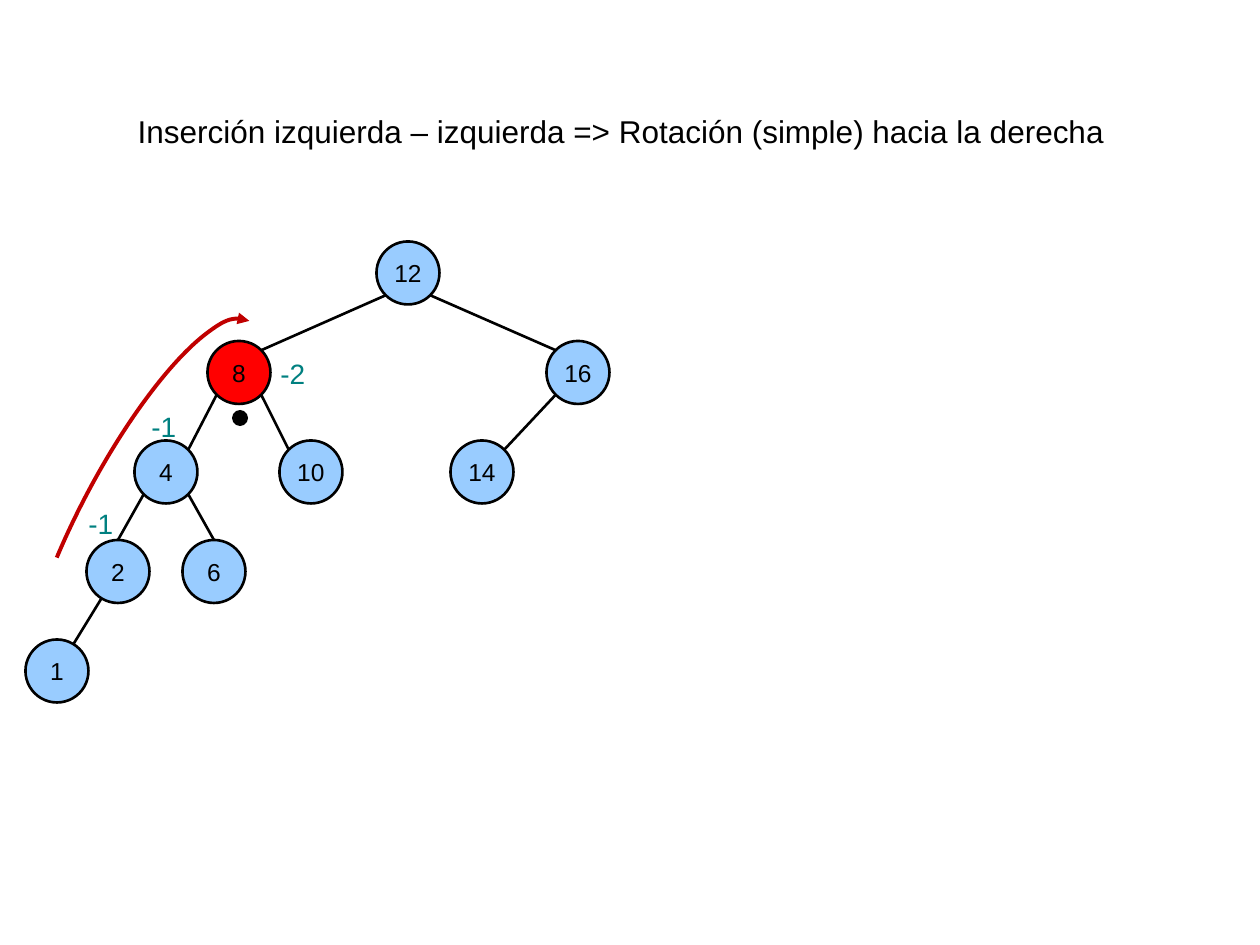
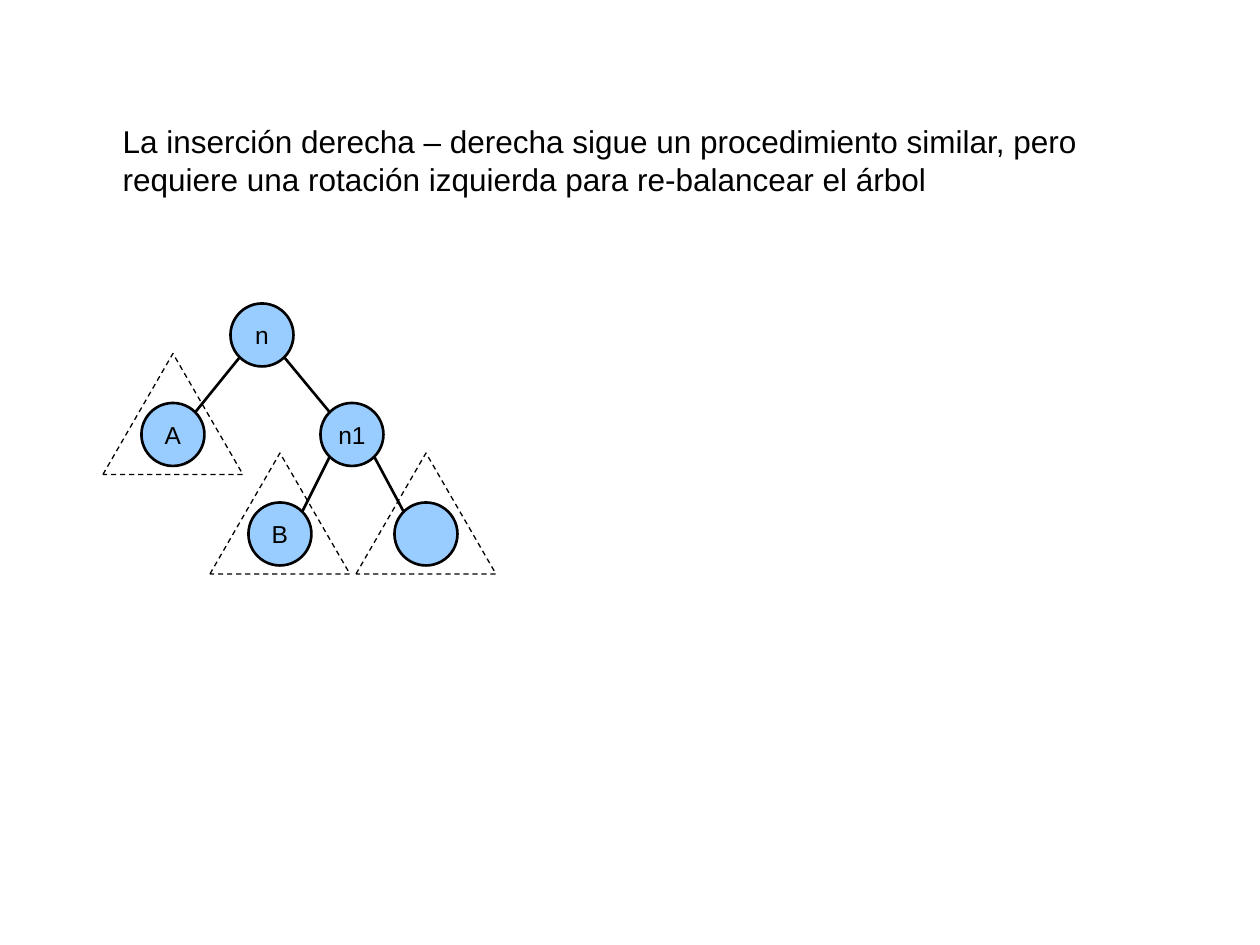
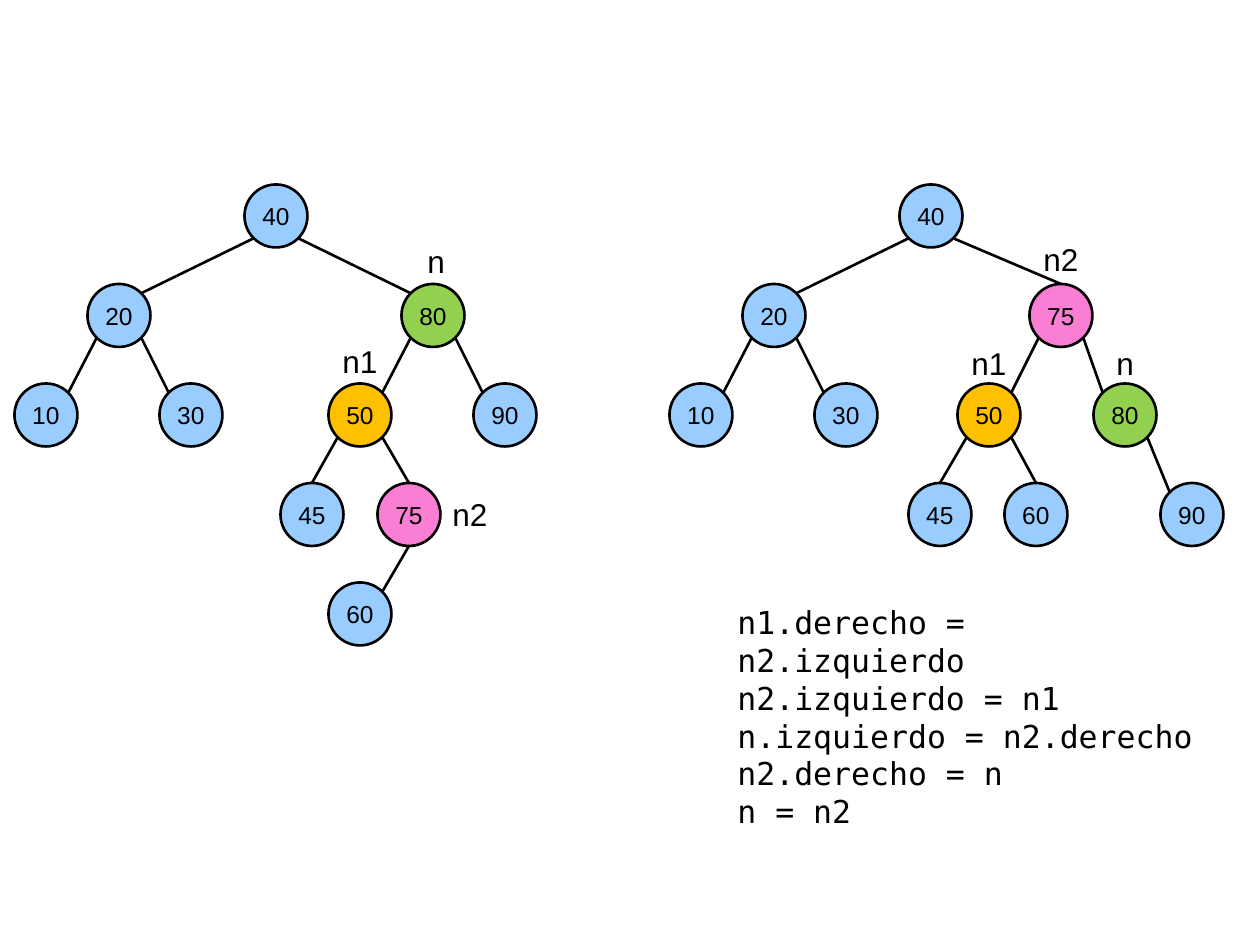
import math
from lxml import etree
from pptx import Presentation
from pptx.dml.color import RGBColor
from pptx.enum.dml import MSO_LINE
from pptx.enum.shapes import MSO_CONNECTOR, MSO_SHAPE
from pptx.enum.text import MSO_ANCHOR, MSO_AUTO_SIZE, PP_ALIGN
from pptx.oxml.ns import qn
from pptx.util import Pt

ELLIPSE, TRIANGLE, ARC = MSO_SHAPE.OVAL, MSO_SHAPE.ISOSCELES_TRIANGLE, MSO_SHAPE.ARC
STRAIGHT, DASH = MSO_CONNECTOR.STRAIGHT, MSO_LINE.DASH
LEFT, CENTER = PP_ALIGN.LEFT, PP_ALIGN.CENTER
TOP, MIDDLE = MSO_ANCHOR.TOP, MSO_ANCHOR.MIDDLE
FIXED = MSO_AUTO_SIZE.NONE

COLORS = {
    "black": "000000", "node": "99CCFF", "unbalanced": "FF0000", "balance": "008080",
    "rotation": "C00000", "n": "92D050", "n1": "FFC000", "n2": "FB7ED5",
}
SANS, MONO = "Arial", "DejaVu Sans Mono"
TITLE_ONLY, BLANK = 5, 6
EMU_PER_PIXEL = 914400 / 126
NODE = 63
RADIUS = NODE / 2
CORNER = RADIUS * math.sqrt(0.5)
ROW_GAP = 99.5


def emu(pixels):
    return round(pixels * EMU_PER_PIXEL)


def color(name):
    return RGBColor.from_string(COLORS[name])


class TreeDeck:
    def __init__(self):
        self.deck = Presentation()
        self.deck.slide_width, self.deck.slide_height = emu(1260), emu(945)
        self.page = None

    def add_page(self, layout):
        self.page = self.deck.slides.add_slide(self.deck.slide_layouts[layout])

    def fill_text(self, frame, lines, size, font=SANS, ink="black", align=LEFT, anchor=TOP, wrap=False):
        frame.word_wrap = wrap
        frame.auto_size = FIXED
        frame.vertical_anchor = anchor
        for index, line in enumerate(lines):
            para = frame.add_paragraph() if index else frame.paragraphs[0]
            para.alignment = align
            span = para.add_run()
            span.text = line
            span.font.size = Pt(size)
            span.font.name = font
            span.font.color.rgb = color(ink)

    def title(self, text, left, top, width, height, wrap=False):
        box = self.page.shapes.title
        box.left, box.top, box.width, box.height = map(emu, (left, top, width, height))
        self.fill_text(box.text_frame, [text], 18, wrap=wrap)

    def text(self, lines, left, top, width, height, size=18, **style):
        box = self.page.shapes.add_textbox(*map(emu, (left, top, width, height)))
        self.fill_text(box.text_frame, lines, size, **style)

    def shape(self, kind, left, top, width, height, fill=None, line=None, weight=1.5):
        box = self.page.shapes.add_shape(kind, *map(emu, (left, top, width, height)))
        box.shadow.inherit = False
        if fill:
            box.fill.solid()
            box.fill.fore_color.rgb = color(fill)
        else:
            box.fill.background()
        if line:
            box.line.color.rgb = color(line)
            box.line.width = Pt(weight)
        else:
            box.line.fill.background()
        return box

    def line(self, x1, y1, x2, y2):
        link = self.page.shapes.add_connector(STRAIGHT, *map(emu, (x1, y1, x2, y2)))
        link.line.color.rgb = color("black")
        link.line.width = Pt(1.5)
        etree.SubElement(link._element.spPr, qn("a:effectLst"))

    def node(self, label, x, y, fill="node"):
        box = self.shape(ELLIPSE, x - RADIUS, y - RADIUS, NODE, NODE, fill, "black")
        if label:
            frame = box.text_frame
            frame.margin_left = frame.margin_right = frame.margin_top = frame.margin_bottom = 0
            self.fill_text(frame, [label], 14, align=CENTER, anchor=MIDDLE)

    def edge(self, parent, child, leave="corner", enter="corner"):
        dx, dy = child[0] - parent[0], child[1] - parent[1]
        length = math.hypot(dx, dy)
        offsets = {
            "corner": (math.copysign(CORNER, dx), CORNER),
            "vertical": (0, RADIUS),
            "radial": (RADIUS * dx / length, RADIUS * dy / length),
        }
        (ax, ay), (bx, by) = offsets[leave], offsets[enter]
        self.line(parent[0] + ax, parent[1] + ay, child[0] - bx, child[1] - by)

    def tree(self, top, nodes, edges, fills=None):
        spots = {label: (x, top + level * ROW_GAP) for label, (x, level) in nodes.items()}
        for parent, child, *ends in edges:
            self.edge(spots[parent], spots[child], *ends)
        for label, (x, y) in spots.items():
            self.node(label, x, y, (fills or {}).get(label, "node"))
        return spots

    def subtree(self, x, y):
        outline = self.shape(TRIANGLE, x - 70, y - 81, 140, 121, line="black", weight=0.75)
        outline.line.dash_style = DASH

    def rotation_arrow(self, left, top, width, height, turn, start, end):
        arrow = self.shape(ARC, left, top, width, height, line="rotation", weight=2.25)
        arrow.rotation = turn
        for index, degrees in enumerate((start, end)):
            arrow.adjustments[index] = degrees * 0.6
        outline = arrow._element.spPr.find(qn("a:ln"))
        etree.SubElement(outline, qn("a:tailEnd"), type="triangle")


show = TreeDeck()

show.add_page(TITLE_ONLY)
show.title("Inserción izquierda – izquierda => Rotación (simple) hacia la derecha", 125, 106, 1009, 50)
show.tree(
    273,
    {"12": (408, 0), "8": (239, 1), "16": (578, 1), "4": (166, 2), "10": (311, 2),
     "14": (482, 2), "2": (118, 3), "6": (214, 3), "1": (57, 4)},
    [("12", "8"), ("12", "16"), ("8", "4"), ("8", "10"), ("16", "14"),
     ("4", "2", "corner", "vertical"), ("4", "6", "corner", "vertical"),
     ("2", "1", "radial", "radial")],
    {"8": "unbalanced"},
)
for factor, left, top in (("-1", 76, 500), ("-1", 139, 403), ("-2", 268, 350)):
    show.text([factor], left, top, 50, 47, size=16, ink="balance")
show.shape(ELLIPSE, 232, 410, 16, 16, fill="black")
show.rotation_arrow(-89, 462, 461, 125, 297.7, 221, 0.2)

show.add_page(TITLE_ONLY)
show.title(
    "La inserción derecha – derecha sigue un procedimiento similar, pero "
    "requiere una rotación izquierda para re-balancear el árbol",
    110, 116, 1041, 89, wrap=True,
)
spots = show.tree(
    335,
    {"n": (262, 0), "A": (173, 1), "n1": (352, 1), "B": (280, 2), "": (426, 2)},
    [("n", "A"), ("n", "n1"), ("n1", "B"), ("n1", "")],
)
for label in ("A", "B", ""):
    show.subtree(*spots[label])

show.add_page(BLANK)
TREE_TOP = 216
ROTATED = 655
unchanged = {"40": (276, 0), "20": (119, 1), "10": (46, 2), "30": (191, 2)}
unchanged_edges = [("40", "20"), ("20", "10"), ("20", "30")]
roles = {"80": "n", "50": "n1", "75": "n2"}
show.tree(
    TREE_TOP,
    {**unchanged, "80": (433, 1), "50": (360, 2), "90": (505, 2),
     "45": (312, 3), "75": (409, 3), "60": (360, 4)},
    unchanged_edges + [("40", "80"), ("80", "50"), ("80", "90"),
                       ("50", "45", "corner", "vertical"), ("50", "75", "corner", "vertical"),
                       ("75", "60", "vertical", "corner")],
    roles,
)
moved = {label: (x + ROTATED, level) for label, (x, level) in unchanged.items()}
show.tree(
    TREE_TOP,
    {**moved, "75": (1061, 1), "50": (989, 2), "80": (1125, 2),
     "45": (940, 3), "60": (1036, 3), "90": (1192, 3)},
    unchanged_edges + [("40", "75", "corner", "vertical"), ("75", "50"), ("75", "80"),
                       ("50", "45", "corner", "vertical"), ("50", "60", "corner", "vertical"),
                       ("80", "90")],
    roles,
)
for role, left, top in (
    ("n", 415, 236), ("n1", 330, 336), ("n2", 1031, 234),
    ("n", 1104, 338), ("n1", 959, 338), ("n2", 440, 489),
):
    show.text([role], left, top, 43 if role == "n" else 60, 50)
show.text(
    ["n1.derecho = n2.izquierdo", "n2.izquierdo = n1", "n.izquierdo = n2.derecho",
     "n2.derecho = n", "n = n2"],
    725, 597, 495, 204, font=MONO, wrap=True,
)

show.deck.save("out.pptx")
